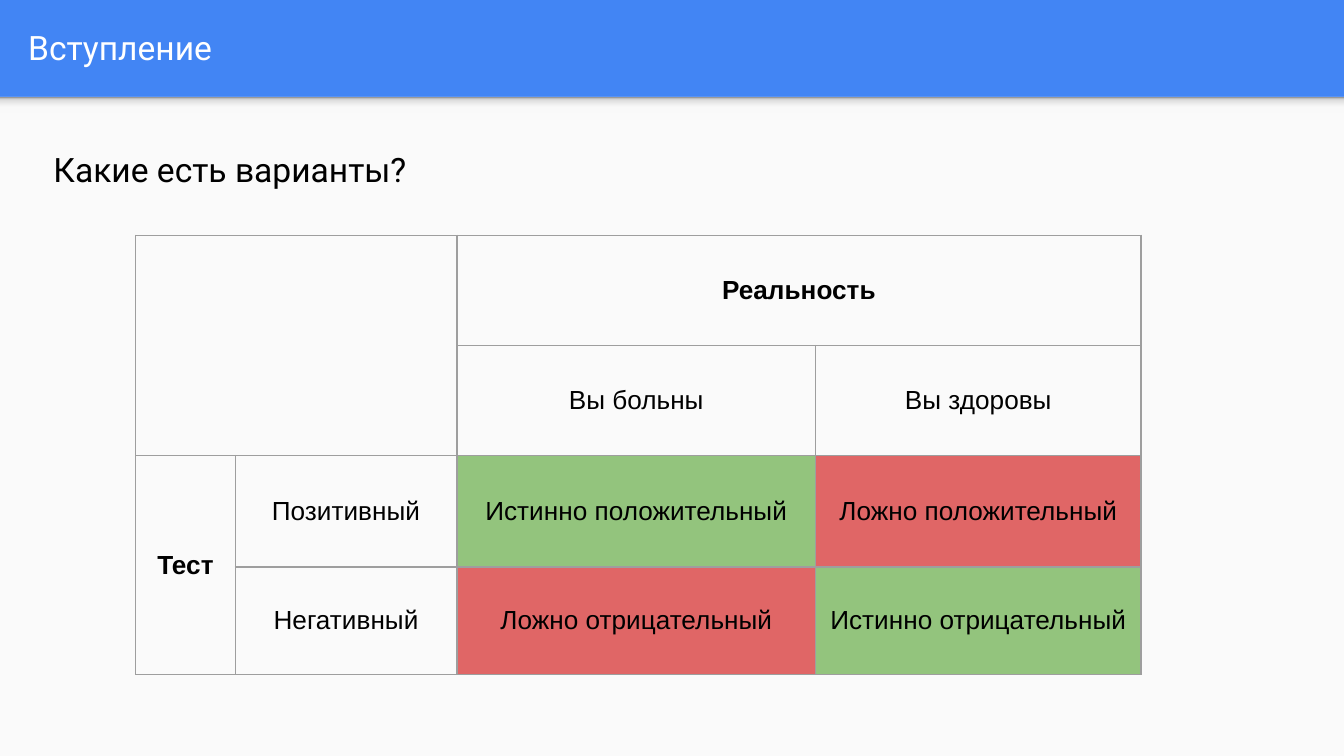
from lxml.etree import SubElement
from pptx import Presentation
from pptx.dml.color import RGBColor
from pptx.enum.shapes import MSO_SHAPE as SHAPE
from pptx.enum.text import MSO_ANCHOR as ANCHOR, PP_ALIGN as ALIGN
from pptx.oxml.ns import qn
from pptx.util import Inches, Pt

BLUE = RGBColor(0x42, 0x85, 0xF4)
PAPER = RGBColor(0xFA, 0xFA, 0xFA)
WHITE = RGBColor(0xFF, 0xFF, 0xFF)
BLACK = RGBColor(0, 0, 0)
GREY = RGBColor(0x9E, 0x9E, 0x9E)
GREEN = RGBColor(0x93, 0xC4, 0x7D)
RED = RGBColor(0xE0, 0x66, 0x66)

# Percent along the gradient, from the bottom edge up to the header
SHADOW_STOPS = [(0, "F9F9F9"), (36, "F9F9F9"), (80, "DEDEDE"), (100, "999999")]

HEADER_H = 0.72
COL_WIDTHS = [0.74, 1.65, 2.67, 2.42]
ROW_HEIGHTS = [0.82, 0.82, 0.83, 0.8]
MERGES = [((0, 0), (1, 1)), ((0, 2), (0, 3)), ((2, 0), (3, 0))]
# (row, column): text, bold, fill
CELLS = {
    (0, 2): ("Реальность", True, None),
    (1, 2): ("Вы больны", False, None),
    (1, 3): ("Вы здоровы", False, None),
    (2, 0): ("Тест", True, None),
    (2, 1): ("Позитивный", False, None),
    (2, 2): ("Истинно положительный", False, GREEN),
    (2, 3): ("Ложно положительный", False, RED),
    (3, 1): ("Негативный", False, None),
    (3, 2): ("Ложно отрицательный", False, RED),
    (3, 3): ("Истинно отрицательный", False, GREEN),
}


def add_rect(s, left, top, width, height):
    sp = s.shapes.add_shape(SHAPE.RECTANGLE, Inches(left), Inches(top),
                            Inches(width), Inches(height))
    sp.shadow.inherit = False
    sp.line.fill.background()
    return sp


def fill_shadow(sp):
    sp.fill.gradient()
    sp.fill.gradient_angle = 90
    stops = sp.element.spPr.find(qn("a:gradFill")).find(qn("a:gsLst"))
    for stop in list(stops):
        stops.remove(stop)
    for pos, color in SHADOW_STOPS:
        stop = SubElement(stops, qn("a:gs"), pos=str(pos * 1000))
        SubElement(stop, qn("a:srgbClr"), val=color)


def place(sp, left, top, width, height):
    sp.left, sp.top = Inches(left), Inches(top)
    sp.width, sp.height = Inches(width), Inches(height)


def set_margins(box):
    box.margin_left = box.margin_right = Inches(0.1)
    box.margin_top = box.margin_bottom = Inches(0.1)


def add_run(p, text, size, font, color, bold=False):
    r = p.add_run()
    r.text = text
    r.font.size = Pt(size)
    r.font.name = font
    r.font.bold = bold
    r.font.color.rgb = color


def write_text(sp, text, color, anchor):
    tf = sp.text_frame
    tf.word_wrap = True
    tf.vertical_anchor = anchor
    set_margins(tf)
    p = tf.paragraphs[0]
    p.alignment = ALIGN.LEFT
    add_run(p, text, 18, "Roboto", color)


def set_borders(cell):
    props = cell._tc.get_or_add_tcPr()
    for side in ("lnL", "lnR", "lnT", "lnB"):
        line = SubElement(props, qn(f"a:{side}"), w=str(Pt(0.75)))
        fill = SubElement(line, qn("a:solidFill"))
        SubElement(fill, qn("a:srgbClr"), val=str(GREY))


def format_cell(cell, text="", bold=False, color=None):
    set_margins(cell)
    cell.vertical_anchor = ANCHOR.MIDDLE
    set_borders(cell)
    if color is None:
        cell.fill.background()
    else:
        cell.fill.solid()
        cell.fill.fore_color.rgb = color
    if text:
        p = cell.text_frame.paragraphs[0]
        p.alignment = ALIGN.CENTER
        add_run(p, text, 14, "Arial", BLACK, bold)


def add_outcome_table(s):
    table = s.shapes.add_table(
        len(ROW_HEIGHTS), len(COL_WIDTHS), Inches(1.01), Inches(1.75),
        Inches(sum(COL_WIDTHS)), Inches(sum(ROW_HEIGHTS))).table
    table.first_row = table.horz_banding = False
    for col, width in zip(table.columns, COL_WIDTHS):
        col.width = Inches(width)
    for row, height in zip(table.rows, ROW_HEIGHTS):
        row.height = Inches(height)
    for first, last in MERGES:
        table.cell(*first).merge(table.cell(*last))
    for r in range(len(ROW_HEIGHTS)):
        for c in range(len(COL_WIDTHS)):
            format_cell(table.cell(r, c), *CELLS.get((r, c), ()))


def main():
    # Widescreen, 16:9
    prs = Presentation()
    prs.slide_width = Inches(10)
    prs.slide_height = prs.slide_width * 9 // 16
    s = prs.slides.add_slide(prs.slide_layouts[5])

    # Blue background, light panel and the header's shadow
    s.background.fill.solid()
    s.background.fill.fore_color.rgb = BLUE
    panel = add_rect(s, 0, HEADER_H, 10, 4.91)
    panel.fill.solid()
    panel.fill.fore_color.rgb = PAPER
    fill_shadow(add_rect(s, 0, HEADER_H, 10, 0.12))

    # Title and question
    title = s.shapes.title
    place(title, 0.11, 0.02, 9.65, 0.66)
    write_text(title, "Вступление", WHITE, ANCHOR.MIDDLE)
    question = s.shapes.add_textbox(Inches(0.3), Inches(1.01),
                                    Inches(9.26), Inches(4.42))
    write_text(question, "Какие есть варианты?", BLACK, ANCHOR.TOP)

    # Test result against reality
    add_outcome_table(s)
    prs.save("out.pptx")


if __name__ == "__main__":
    main()
